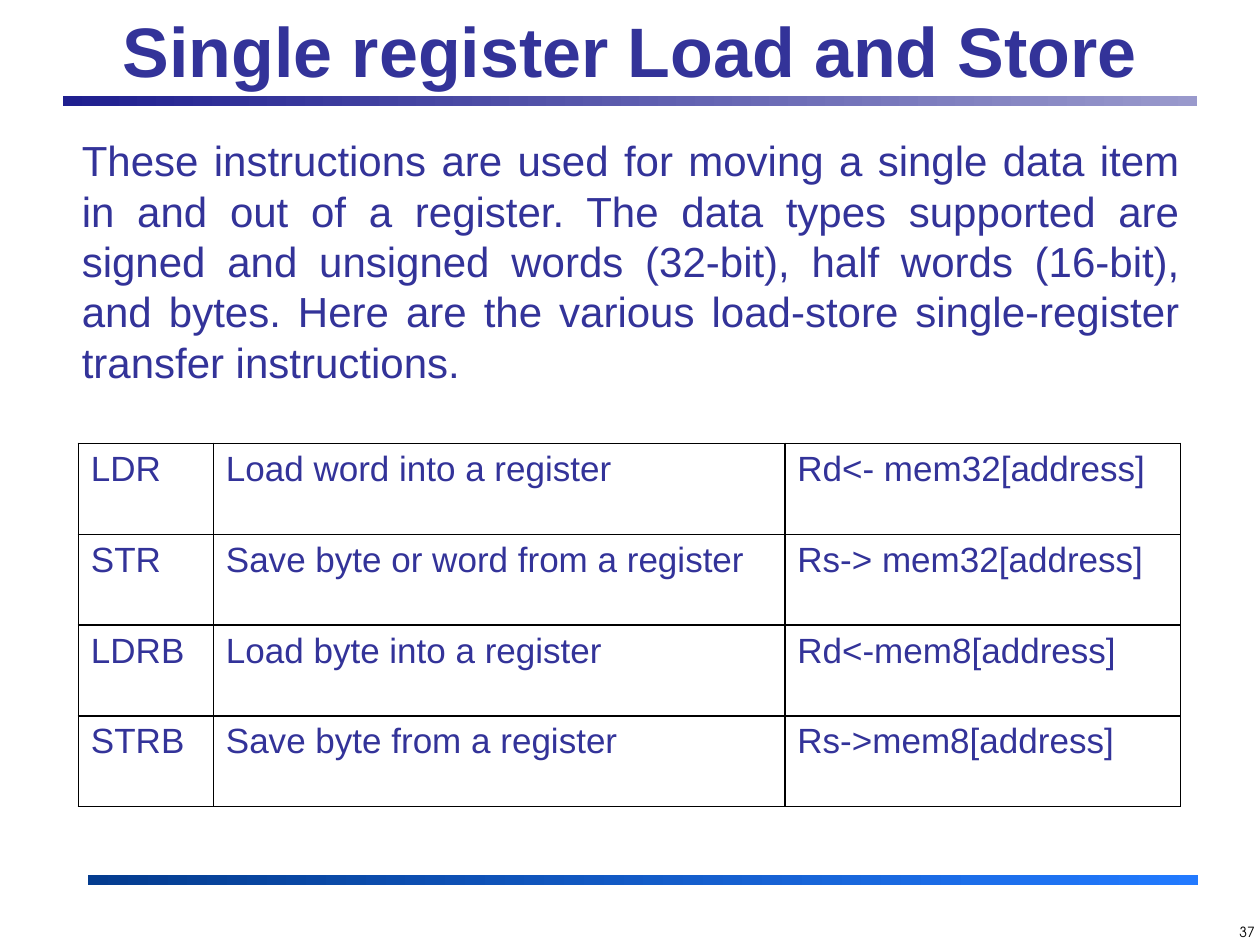
from dataclasses import dataclass

from lxml.etree import SubElement
from pptx import Presentation
from pptx.dml.color import RGBColor
from pptx.enum.shapes import MSO_SHAPE
from pptx.enum.text import MSO_ANCHOR, PP_ALIGN
from pptx.oxml.ns import qn
from pptx.slide import Slide
from pptx.table import _Cell
from pptx.text.text import _Paragraph
from pptx.util import Cm, Pt

COLORS = {
    "text": "333399",
    "black": "000000",
    "top_start": "1F1F8F",
    "top_end": "9999CC",
    "bottom_start": "043C8F",
    "bottom_end": "227AFF",
}
FORMATS = {
    "title": {"name": "Arial", "size": Pt(40), "bold": True},
    "body": {"name": "Arial", "size": Pt(24)},
    "cell": {"name": "Arial", "size": Pt(20)},
    "number": {"name": "TeX Gyre Adventor", "size": Pt(8)},
}
COLUMN_WIDTHS = (2.72, 11.52, 7.98)
ROW_HEIGHT = 1.83
INSTRUCTIONS = (
    ("LDR", "Load word into a register", "Rd<- mem32[address]"),
    ("STR", "Save byte or word from a register", "Rs-> mem32[address]"),
    ("LDRB", "Load byte into a register", "Rd<-mem8[address]"),
    ("STRB", "Save byte from a register", "Rs->mem8[address]"),
)


@dataclass(frozen=True)
class Box:
    left: float
    top: float
    width: float
    height: float

    def lengths(self) -> tuple[Cm, Cm, Cm, Cm]:
        return Cm(self.left), Cm(self.top), Cm(self.width), Cm(self.height)


@dataclass(frozen=True)
class Bar:
    box: Box
    start: str
    end: str


@dataclass(frozen=True)
class Label:
    box: Box
    text: str
    style: str
    alignment: PP_ALIGN
    color: str = "text"
    anchor: MSO_ANCHOR = MSO_ANCHOR.TOP


BARS = (
    Bar(Box(1.27, 1.94, 22.86, 0.2), "top_start", "top_end"),
    Bar(Box(1.78, 17.64, 22.38, 0.2), "bottom_start", "bottom_end"),
)
LABELS = (
    Label(Box(24.43, 18.49, 1.12, 0.79), "37", "number", PP_ALIGN.RIGHT, "black"),
    Label(
        Box(1.27, 0, 22.86, 1.98),
        "Single register Load and Store",
        "title",
        PP_ALIGN.CENTER,
        anchor=MSO_ANCHOR.MIDDLE,
    ),
    Label(
        Box(1.4, 2.59, 22.63, 5.38),
        "These instructions are used for moving a single data item in and out of a "
        "register. The data types supported are signed and unsigned words (32-bit), "
        "half words (16-bit), and bytes. Here are the various load-store "
        "single-register transfer instructions.",
        "body",
        PP_ALIGN.JUSTIFY,
    ),
)


def color_of(name: str) -> RGBColor:
    return RGBColor.from_string(COLORS[name])


def write(paragraph: _Paragraph, text: str, style: str, color: str = "text") -> None:
    run = paragraph.add_run()
    run.text = text
    for attribute, value in FORMATS[style].items():
        setattr(run.font, attribute, value)
    run.font.color.rgb = color_of(color)


def draw_bar(slide: Slide, bar: Bar) -> None:
    shape = slide.shapes.add_shape(MSO_SHAPE.RECTANGLE, *bar.box.lengths())
    shape.shadow.inherit = False
    shape.line.fill.background()
    shape.fill.gradient()
    shape.fill.gradient_angle = 0
    for stop, name in zip(shape.fill.gradient_stops, (bar.start, bar.end)):
        stop.color.rgb = color_of(name)


def draw_label(slide: Slide, label: Label) -> None:
    frame = slide.shapes.add_textbox(*label.box.lengths()).text_frame
    frame.word_wrap = True
    frame.vertical_anchor = label.anchor
    paragraph = frame.paragraphs[0]
    paragraph.alignment = label.alignment
    write(paragraph, label.text, label.style, label.color)


def outline_cell(cell: _Cell) -> None:
    properties = cell._tc.get_or_add_tcPr()
    for side in ("a:lnL", "a:lnR", "a:lnT", "a:lnB"):
        line = SubElement(properties, qn(side), w=str(Pt(1)))
        fill = SubElement(line, qn("a:solidFill"))
        SubElement(fill, qn("a:srgbClr"), val=COLORS["black"])


def draw_instructions(slide: Slide) -> None:
    box = Box(1.58, 8.94, sum(COLUMN_WIDTHS), ROW_HEIGHT * len(INSTRUCTIONS))
    table = slide.shapes.add_table(
        len(INSTRUCTIONS), len(COLUMN_WIDTHS), *box.lengths()
    ).table
    table.first_row = False
    table.horz_banding = False
    for column, width in zip(table.columns, COLUMN_WIDTHS):
        column.width = Cm(width)
    for row, texts in zip(table.rows, INSTRUCTIONS):
        row.height = Cm(ROW_HEIGHT)
        for cell, text in zip(row.cells, texts):
            outline_cell(cell)
            cell.fill.background()
            write(cell.text_frame.paragraphs[0], text, "cell")


def main() -> None:
    """Build the slide on single-register load and store instructions."""
    presentation = Presentation()
    presentation.slide_width = Cm(25.4)
    presentation.slide_height = Cm(19.05)
    slide = presentation.slides.add_slide(presentation.slide_layouts[6])
    for bar in BARS:
        draw_bar(slide, bar)
    for label in LABELS:
        draw_label(slide, label)
    draw_instructions(slide)
    presentation.save("out.pptx")


if __name__ == "__main__":
    main()
